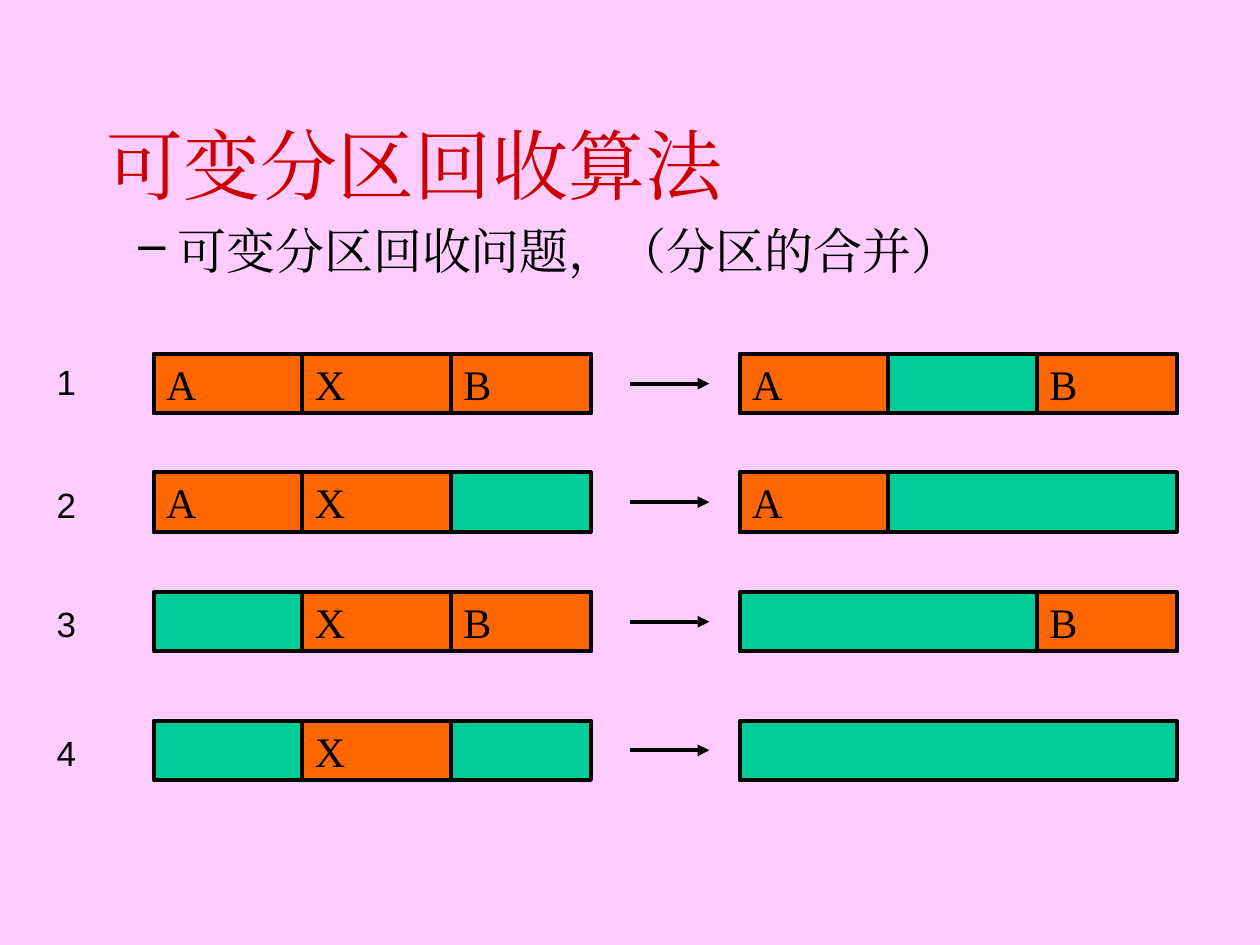
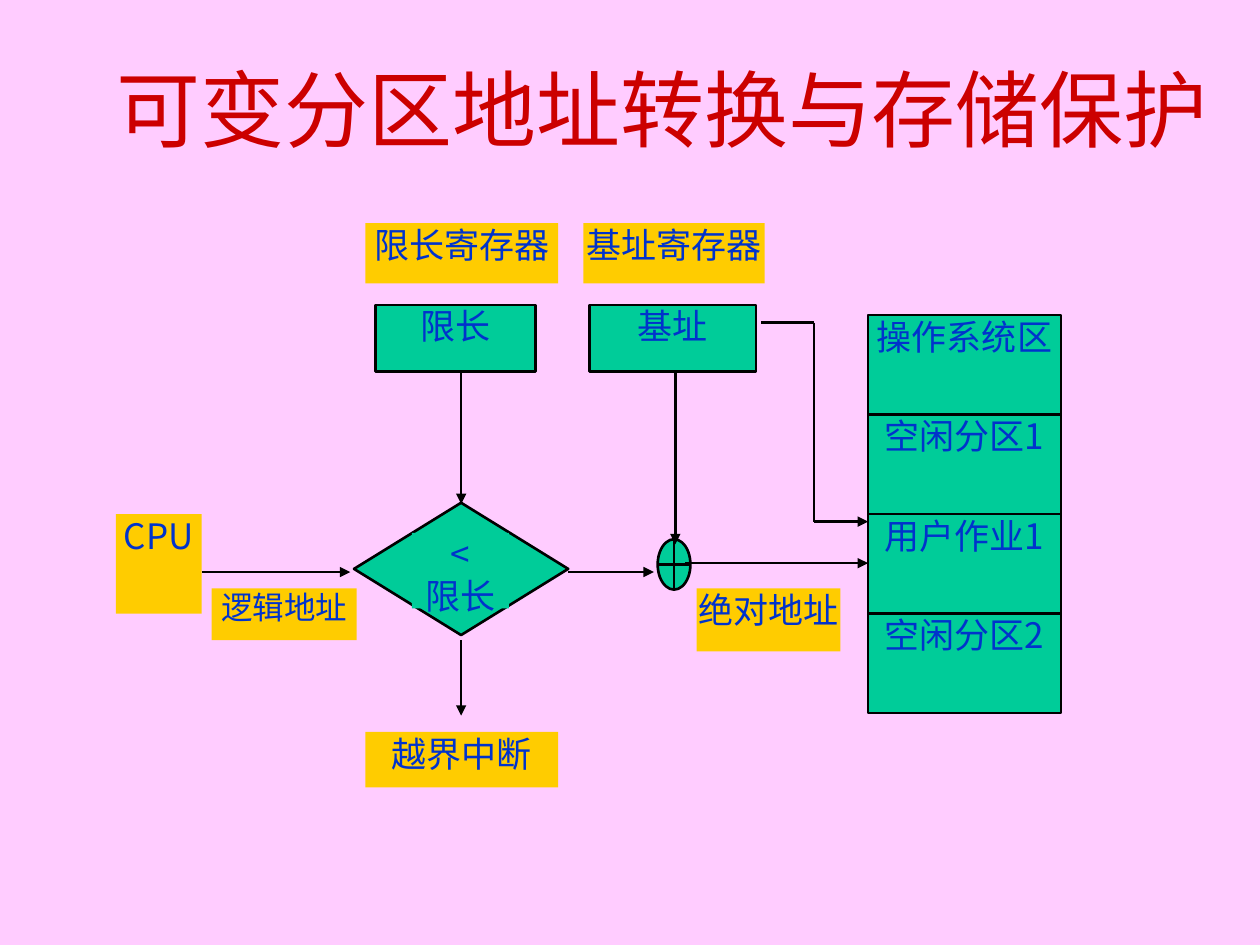
"""Build two slides on variable partition recycling and address translation."""
from typing import NamedTuple

from lxml import etree
from pptx import Presentation
from pptx.dml.color import RGBColor
from pptx.enum.shapes import MSO_CONNECTOR, MSO_SHAPE
from pptx.enum.text import MSO_ANCHOR, PP_ALIGN
from pptx.oxml.ns import qn
from pptx.util import Inches, Pt

RECTANGLE = MSO_SHAPE.RECTANGLE
DECISION = MSO_SHAPE.FLOWCHART_DECISION
ADDER = MSO_SHAPE.FLOWCHART_OR
STRAIGHT = MSO_CONNECTOR.STRAIGHT
TOP, MIDDLE = MSO_ANCHOR.TOP, MSO_ANCHOR.MIDDLE
LEFT, CENTER = PP_ALIGN.LEFT, PP_ALIGN.CENTER

COLORS = {
    "page": "FFCCFF",
    "title": "CC0000",
    "ink": "000000",
    "free": "00CC99",
    "used": "FF6600",
    "label": "FFCC00",
    "diagram": "0033CC",
}
SERIF, SANS, CJK = "Times New Roman", "Arial", "Noto Sans CJK JP"


class Area(NamedTuple):
    """Place and size in inches."""
    left: float
    top: float
    width: float
    height: float


class Style(NamedTuple):
    """Look of a text."""
    font: str
    size: float
    color: str
    align: PP_ALIGN = LEFT
    anchor: MSO_ANCHOR = TOP
    inset: bool = True


class Node(NamedTuple):
    """A filled shape of the diagram, with its text."""
    area: Area
    fill: str
    text: str = ""
    outlined: bool = True
    kind: MSO_SHAPE = RECTANGLE
    size: float = 20


class Case(NamedTuple):
    """Partitions before and after release; a space is a free place."""
    top: float
    label_top: float
    before: str
    after: str


class Link(NamedTuple):
    """A straight line from one point to another, in inches."""
    start: tuple[float, float]
    end: tuple[float, float]
    arrow: bool = True


CELL_TEXT = Style(SERIF, 24, "ink", anchor=MIDDLE)
NUMBER_TEXT = Style(SANS, 20, "ink")
BODY_TEXT = Style(SERIF, 28, "ink")


def color(name: str) -> RGBColor:
    """Return a named colour."""
    return RGBColor.from_string(COLORS[name])


def write(shape, text: str, style: Style) -> None:
    """Put styled text into a shape."""
    frame = shape.text_frame
    frame.word_wrap = True
    frame.vertical_anchor = style.anchor
    if not style.inset:
        frame.margin_left = frame.margin_right = 0
        frame.margin_top = frame.margin_bottom = 0
    frame.text = text
    for para in frame.paragraphs:
        para.alignment = style.align
        para.font.size = Pt(style.size)
        para.font.color.rgb = color(style.color)
        para.font.name = style.font
        defaults = para._p.pPr.find(qn("a:defRPr"))
        etree.SubElement(defaults, qn("a:ea"), typeface=style.font)


def add_text(page, area: Area, text: str, style: Style):
    """Add a text box."""
    box = page.shapes.add_textbox(*map(Inches, area))
    write(box, text, style)
    return box


def add_box(page, area: Area, fill: str, line_width: float = 0, kind=RECTANGLE):
    """Add a filled shape; a line width of zero means no outline."""
    box = page.shapes.add_shape(kind, *map(Inches, area))
    box.shadow.inherit = False
    box.fill.solid()
    box.fill.fore_color.rgb = color(fill)
    if line_width:
        box.line.color.rgb = color("ink")
        box.line.width = Pt(line_width)
    else:
        box.line.fill.background()
    return box


def add_link(page, link: Link, width: float) -> None:
    """Add a line, with an arrowhead at its end if wanted."""
    line = page.shapes.add_connector(
        STRAIGHT, *map(Inches, (*link.start, *link.end)))
    line.line.color.rgb = color("ink")
    line.line.width = Pt(width)
    properties = line._element.spPr
    if link.arrow:
        etree.SubElement(properties.find(qn("a:ln")), qn("a:tailEnd"), type="triangle")
    etree.SubElement(properties, qn("a:effectLst"))


def add_page(deck, title: str, area: Area, style: Style):
    """Add a page with the shared background and a title."""
    page = deck.slides.add_slide(deck.slide_layouts[6])
    page.background.fill.solid()
    page.background.fill.fore_color.rgb = color("page")
    add_text(page, area, title, style)
    return page


def add_bullet(page, area: Area, text: str) -> None:
    """Add a text box with one dash bullet."""
    para = add_text(page, area, text, BODY_TEXT).text_frame.paragraphs[0]
    para.line_spacing = 0.9
    properties = para._p.pPr
    properties.set("marL", str(Inches(0.81)))
    properties.set("indent", str(Inches(-0.31)))
    bullet = etree.Element(qn("a:buChar"), char="–")
    properties.find(qn("a:defRPr")).addprevious(bullet)


def add_memory(page, left: float, top: float, cells: str) -> None:
    """Draw a free memory bar with its used partitions on top."""
    total, step, height = 3.47, 1.18, 0.47
    add_box(page, Area(left, top, total, height), "free", 2.25)
    for index, name in enumerate(cells):
        if name != " ":
            offset = index * step
            area = Area(left + offset, top, min(step, total - offset), height)
            write(add_box(page, area, "used", 2.25), name, CELL_TEXT)


def build_recycling(deck) -> None:
    """Build the page on merging partitions."""
    page = add_page(deck, "可变分区回收算法", Area(0.75, 0.67, 8.5, 1.25),
                    Style(SERIF, 44, "title", anchor=MIDDLE))
    add_bullet(page, Area(0.5, 1.75, 9, 1.13), "可变分区回收问题，（分区的合并）")
    cases = [
        Case(2.81, 2.81, "AXB", "A B"),
        Case(3.75, 3.79, "AX ", "A  "),
        Case(4.7, 4.73, " XB", "  B"),
        Case(5.72, 5.76, " X ", "   "),
    ]
    for number, case in enumerate(cases, 1):
        add_memory(page, 1.22, case.top, case.before)
        add_memory(page, 5.87, case.top, case.after)
        middle = case.top + 0.235
        add_link(page, Link((5, middle), (5.63, middle)), 2.25)
        add_text(page, Area(0.35, case.label_top, 0.75, 0.43), str(number), NUMBER_TEXT)


def build_translation(deck) -> None:
    """Build the page on address translation and protection."""
    page = add_page(deck, "可变分区地址转换与存储保护", Area(0.42, 0.19, 9.67, 1.33),
                    Style(CJK, 48, "title", CENTER, MIDDLE))
    regions = ["操作系统区", "空闲分区1", "用户作业1", "空闲分区2"]
    nodes = [
        Node(Area(4.68, 2.42, 1.32, 0.53), "free", "基址"),
        Node(Area(4.63, 1.77, 1.44, 0.48), "label", "基址寄存器", False),
        Node(Area(1.68, 4.67, 1.15, 0.41), "label", "逻辑地址", False, size=18),
        Node(Area(0.92, 4.08, 0.68, 0.79), "label", "CPU", False),
        Node(Area(5.22, 4.28, 0.26, 0.4), "free", kind=ADDER),
        Node(Area(5.53, 4.67, 1.14, 0.5), "label", "绝对地址", False),
        *(Node(Area(6.89, 2.5 + 0.79 * index, 1.53, 0.79), "free", name)
          for index, name in enumerate(regions)),
        Node(Area(2.98, 2.42, 1.27, 0.53), "free", "限长"),
        Node(Area(2.9, 1.77, 1.53, 0.48), "label", "限长寄存器", False),
        Node(Area(2.81, 3.99, 1.7, 1.05), "free", kind=DECISION),
        Node(Area(3.27, 4.23, 0.77, 0.6), "free", "<\n限长", False),
        Node(Area(2.9, 5.81, 1.53, 0.44), "label", "越界中断", False),
    ]
    for node in nodes:
        box = add_box(page, node.area, node.fill, 1.5 if node.outlined else 0, node.kind)
        if node.text:
            write(box, node.text, Style(CJK, node.size, "diagram", CENTER, inset=False))
    links = [
        Link((6.04, 2.56), (6.46, 2.56), False),
        Link((6.46, 2.56), (6.46, 4.14), False),
        Link((6.46, 4.14), (6.89, 4.14)),
        Link((5.36, 2.96), (5.36, 4.32)),
        Link((1.6, 4.54), (2.78, 4.54)),
        Link((5.44, 4.47), (6.89, 4.47)),
        Link((3.66, 2.95), (3.66, 4)),
        Link((4.51, 4.54), (5.19, 4.54)),
        Link((3.66, 5.08), (3.66, 5.68)),
    ]
    for link in links:
        add_link(page, link, 1.5)


def main() -> None:
    """Build and save the deck."""
    deck = Presentation()
    deck.slide_width, deck.slide_height = Inches(10), Inches(7.5)
    build_recycling(deck)
    build_translation(deck)
    deck.save("out.pptx")


main()
